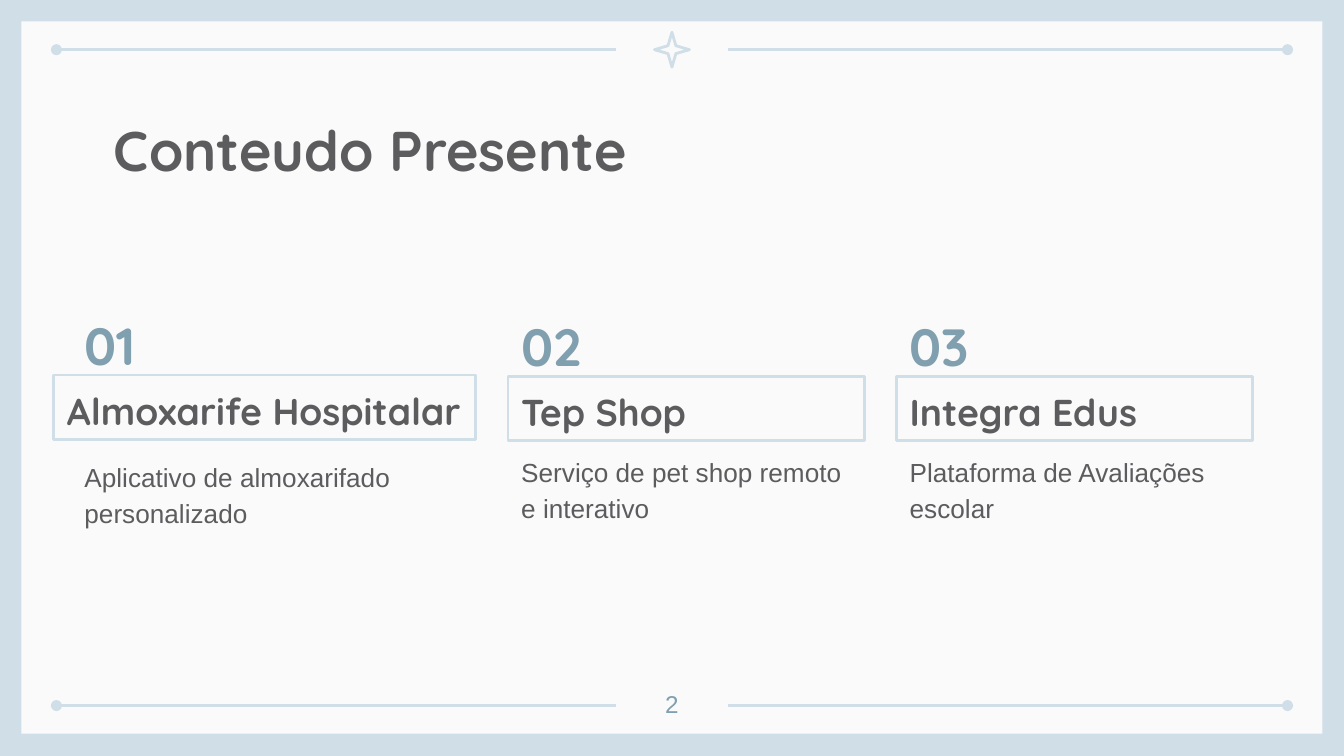
from lxml import etree
from pptx import Presentation
from pptx.dml.color import RGBColor
from pptx.enum import shapes, text
from pptx.oxml.ns import qn
from pptx.util import Inches, Pt

COLORS = {"frame": "CFDEE7", "paper": "FAFAFA", "ink": "5C5C5F", "accent": "809FAF"}
RGB = {name: RGBColor.from_string(code) for name, code in COLORS.items()}
FORMATS = {
    "title": {"name": "Quicksand", "size": Pt(30), "bold": True},
    "number": {"name": "Quicksand", "size": Pt(28), "bold": True},
    "heading": {"name": "Quicksand", "size": Pt(20), "bold": True},
    "body": {"name": "Arial", "size": Pt(14), "bold": False},
    "page": {"name": "Arial", "size": Pt(13), "bold": False},
}
TOP, MIDDLE = text.MSO_ANCHOR.TOP, text.MSO_ANCHOR.MIDDLE

# Widescreen slide, 16:9
prs = Presentation()
prs.slide_width, prs.slide_height = Inches(10), Inches(10 * 9 / 16)
slide = prs.slides.add_slide(prs.slide_layouts[6])
slide.background.fill.solid()
slide.background.fill.fore_color.rgb = RGB["frame"]


def add_outline(preset, left, top, width, height):
    """Add an unfilled shape with a frame-coloured border."""
    outline = slide.shapes.add_shape(
        preset, Inches(left), Inches(top), Inches(width), Inches(height))
    outline.shadow.inherit = False
    outline.fill.background()
    outline.line.color.rgb = RGB["frame"]
    outline.line.width = Pt(1.5)
    return outline


def write(holder, words, style, color, anchor=TOP, align=text.PP_ALIGN.LEFT, spacing=1.0):
    """Put one formatted paragraph in a shape or text box."""
    frame = holder.text_frame
    margins = {f"margin_{side}": Inches(0.1) for side in ("left", "top", "right", "bottom")}
    for key, value in {"word_wrap": True, "vertical_anchor": anchor, **margins}.items():
        setattr(frame, key, value)
    paragraph = frame.paragraphs[0]
    paragraph.alignment, paragraph.line_spacing = align, spacing
    run = paragraph.add_run()
    run.text = words
    for key, value in FORMATS[style].items():
        setattr(run.font, key, value)
    run.font.color.rgb = RGB[color]


# Paper
paper = add_outline(shapes.MSO_SHAPE.RECTANGLE, 0.16, 0.16, 9.68, 5.3)
paper.fill.solid()
paper.fill.fore_color.rgb = RGB["paper"]
paper.line.fill.background()

# Rules at top and bottom, with a dot at each outer end
for y in (0.37, 5.25):
    for start, end, dot_end in ((0.42, 4.58, "a:headEnd"), (5.42, 9.58, "a:tailEnd")):
        rule = slide.shapes.add_connector(
            shapes.MSO_CONNECTOR.STRAIGHT, Inches(start), Inches(y), Inches(end), Inches(y))
        rule.line.color.rgb = RGB["frame"]
        rule.line.width = Pt(1.5)
        etree.SubElement(rule.line._get_or_add_ln(), qn(dot_end), type="oval")
        etree.SubElement(rule._element.spPr, qn("a:effectLst"))

# Star between the top rules
star = add_outline(shapes.MSO_SHAPE.STAR_4_POINT, 4.87, 0.24, 0.26, 0.26)
star.adjustments[0] = 0.16

# Title
title = slide.shapes.add_textbox(Inches(0.75), Inches(0.76), Inches(8.43), Inches(0.63))
write(title, "Conteudo Presente", "title", "ink")

# Projects: text left, number top, body top, heading box, words
projects = [
    (0.53, 2.29, 3.3, (0.4, 2.79, 3.14, 0.48),
     "01", "Almoxarife Hospitalar", "Aplicativo de almoxarifado personalizado"),
    (3.78, 2.3, 3.26, (3.78, 2.8, 2.65, 0.48),
     "02", "Tep Shop", "Serviço de pet shop remoto e interativo"),
    (6.67, 2.3, 3.26, (6.67, 2.8, 2.65, 0.48),
     "03", "Integra Edus", "Plataforma de Avaliações escolar"),
]
for left, number_top, body_top, box, number, heading, body in projects:
    number_box = slide.shapes.add_textbox(
        Inches(left), Inches(number_top), Inches(0.72), Inches(0.48))
    write(number_box, number, "number", "accent", MIDDLE, spacing=1.15)
    heading_box = add_outline(shapes.MSO_SHAPE.RECTANGLE, *box)
    write(heading_box, heading, "heading", "ink", MIDDLE, spacing=1.15)
    body_box = slide.shapes.add_textbox(
        Inches(left), Inches(body_top), Inches(2.65), Inches(0.59))
    write(body_box, body, "body", "ink", spacing=1.15)

# Page number
page = slide.shapes.add_textbox(Inches(4.7), Inches(5.03), Inches(0.6), Inches(0.36))
write(page, "2", "page", "accent", align=text.PP_ALIGN.CENTER)

prs.save("out.pptx")
